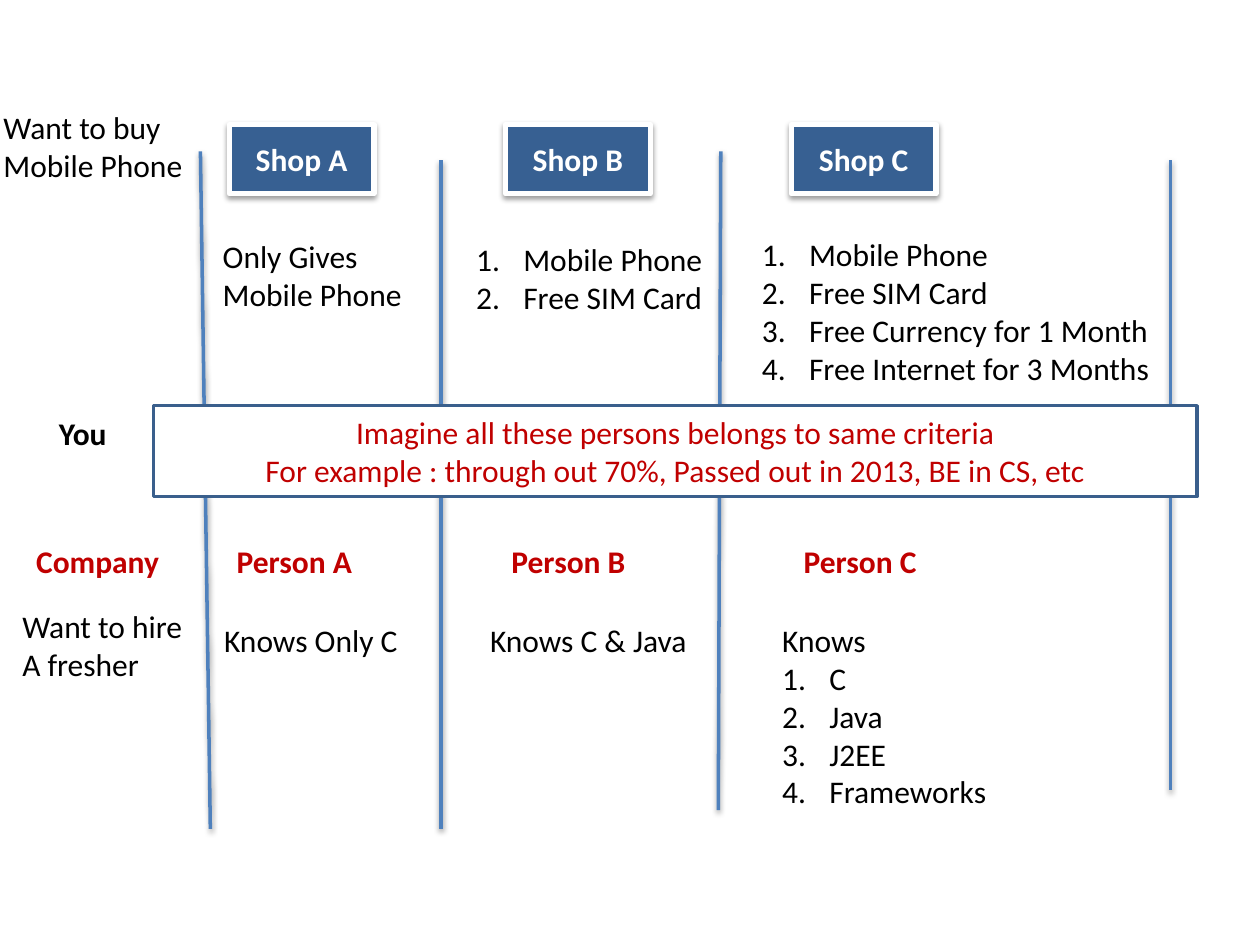
from dataclasses import dataclass

from lxml.etree import SubElement
from pptx import Presentation
from pptx.dml.color import RGBColor
from pptx.enum.shapes import MSO_CONNECTOR as Connector, MSO_SHAPE as Shape
from pptx.enum.text import MSO_ANCHOR as Anchor, MSO_AUTO_SIZE as AutoSize, PP_ALIGN as Align
from pptx.oxml.ns import qn
from pptx.util import Cm, Pt


@dataclass(frozen=True)
class Theme:
    font: str = "Calibri"
    size: int = 18
    black: str = "000000"
    white: str = "FFFFFF"
    red: str = "C00000"
    shop: str = "376092"
    divider: str = "4F81BD"
    banner_edge: str = "3A5F8C"


THEME = Theme()

# Content: positions in cm
SHOPS = [("Shop A", 4.62), ("Shop B", 10.19), ("Shop C", 15.95)]
HEADINGS = [("Company", 0.48), ("Person A", 4.52), ("Person B", 10.06), ("Person C", 15.95)]
# left, top, width, plain lines, numbered lines
NOTES = [
    (-0.18, 2.06, 4.17, ["Want to buy", "Mobile Phone"], []),
    (4.24, 4.65, 4.17, ["Only Gives ", "Mobile Phone"], []),
    (9.35, 4.72, 5.13, [], ["Mobile Phone", "Free SIM Card"]),
    (15.11, 4.62, 8.41, [], ["Mobile Phone", "Free SIM Card",
                             "Free Currency for 1 Month", "Free Internet for 3 Months"]),
    (0.2, 12.12, 3.91, ["Want to hire ", "A fresher"], []),
    (4.27, 12.4, 4.04, ["Knows Only C"], []),
    (9.63, 12.4, 4.52, ["Knows C & Java"], []),
    (15.52, 12.4, 4.67, ["Knows "], ["C ", "Java", "J2EE", "Frameworks"]),
]
BANNER = ["Imagine all these persons belongs to same criteria",
          "For example : through out 70%, Passed out in 2013, BE in CS, etc"]
# x1, y1, x2, y2
DIVIDERS = [(4.04, 3.05, 4.24, 16.71), (8.89, 3.23, 8.89, 16.71),
            (14.53, 3.05, 14.48, 16.33), (23.6, 3.23, 23.6, 15.93)]

LINE_HEIGHT, PADDING, NUMBER_INDENT = 0.77, 0.25, 0.95

deck = Presentation()
deck.slide_width, deck.slide_height = Cm(25.4), Cm(19.05)
slide = deck.slides.add_slide(deck.slide_layouts[6])


def rgb(color):
    return RGBColor.from_string(color)


def add_shadow(item):
    effects = SubElement(item._element.spPr, qn("a:effectLst"))
    outer = SubElement(effects, qn("a:outerShdw"), blurRad=str(Pt(3.1)), dist=str(Pt(1.6)),
                       dir="5400000", rotWithShape="0")
    color = SubElement(outer, qn("a:srgbClr"), val=THEME.black)
    SubElement(color, qn("a:alpha"), val="38000")


def write(item, lines, color, bold=False, align=Align.LEFT):
    frame = item.text_frame
    frame.text = "\n".join(lines)
    for paragraph in frame.paragraphs:
        paragraph.alignment = align
        for run in paragraph.runs:
            run.font.name, run.font.size = THEME.font, Pt(THEME.size)
            run.font.bold, run.font.color.rgb = bold, rgb(color)


def number(paragraph):
    props = paragraph._p.get_or_add_pPr()
    props.set("marL", str(Cm(NUMBER_INDENT)))
    props.set("indent", str(-Cm(NUMBER_INDENT)))
    SubElement(props, qn("a:buFont"), typeface="+mj-lt")
    SubElement(props, qn("a:buAutoNum"), type="arabicPeriod")


def add_text(left, top, width, lines, color=THEME.black, bold=False, wrap=True):
    height = PADDING + LINE_HEIGHT * len(lines)
    box = slide.shapes.add_textbox(Cm(left), Cm(top), Cm(width), Cm(height))
    box.text_frame.word_wrap = wrap
    box.text_frame.auto_size = AutoSize.SHAPE_TO_FIT_TEXT
    write(box, lines, color, bold)
    return box


def add_box(left, top, width, height, lines, fill, edge, edge_width, color, bold=False):
    box = slide.shapes.add_shape(Shape.RECTANGLE, Cm(left), Cm(top), Cm(width), Cm(height))
    box.fill.solid()
    box.fill.fore_color.rgb = rgb(fill)
    box.line.color.rgb, box.line.width = rgb(edge), Pt(edge_width)
    box.text_frame.vertical_anchor = Anchor.MIDDLE
    write(box, lines, color, bold, Align.CENTER)
    return box


# Column dividers
for ends in DIVIDERS:
    divider = slide.shapes.add_connector(Connector.STRAIGHT, *map(Cm, ends))
    divider.line.color.rgb, divider.line.width = rgb(THEME.divider), Pt(2)
    add_shadow(divider)

# Shops and headings
add_text(0.94, 8.23, 1.6, ["You"], bold=True)
for name, left in SHOPS:
    add_shadow(add_box(left, 2.51, 2.92, 1.4, [name], THEME.shop, THEME.white, 3,
                       THEME.white, bold=True))
for name, left in HEADINGS:
    add_text(left, 10.8, 3, [name], THEME.red, bold=True)

# Offers, skills and wishes
for left, top, width, plain, numbered in NOTES:
    note = add_text(left, top, width, plain + numbered, wrap=False)
    for paragraph in note.text_frame.paragraphs[len(plain):]:
        number(paragraph)

# Banner across the columns
banner = add_box(3.1, 8.18, 21.03, 1.83, BANNER, THEME.white, THEME.banner_edge, 2, THEME.red)
banner.shadow.inherit = False

deck.save("out.pptx")
